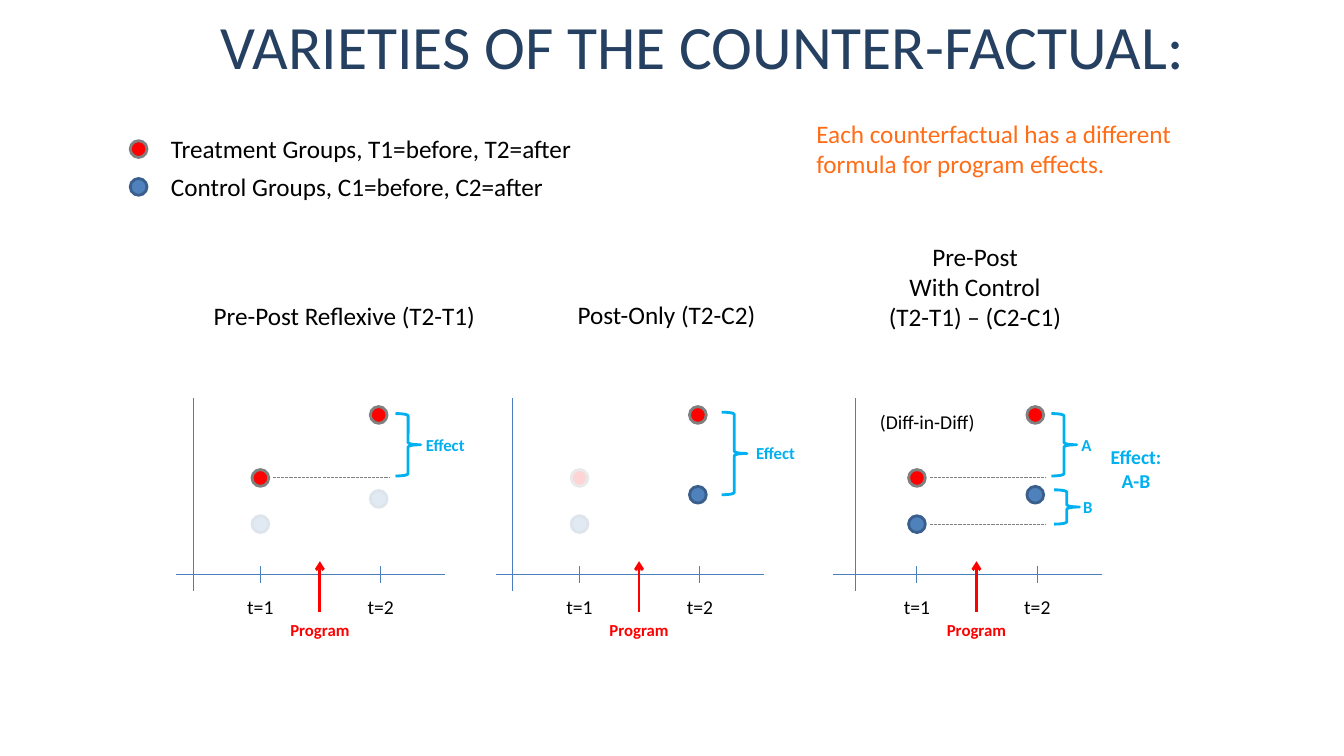
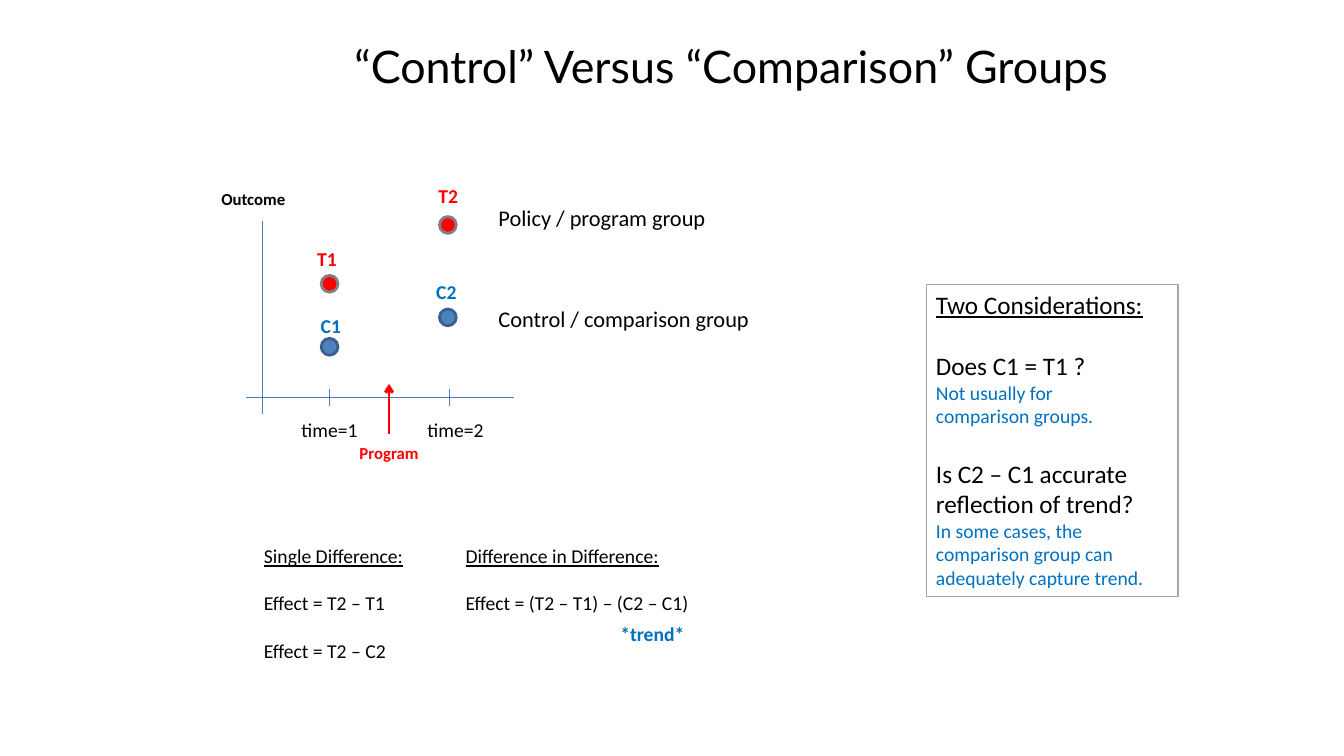
from lxml import etree
from pptx import Presentation
from pptx.dml.color import RGBColor
from pptx.enum.dml import MSO_LINE
from pptx.enum.shapes import MSO_CONNECTOR, MSO_SHAPE
from pptx.enum.text import MSO_ANCHOR, MSO_AUTO_SIZE, PP_ALIGN
from pptx.oxml.ns import qn
from pptx.util import Pt

LEFT, CENTER = PP_ALIGN.LEFT, PP_ALIGN.CENTER
STRAIGHT, DASHED = MSO_CONNECTOR.STRAIGHT, MSO_LINE.SQUARE_DOT
OVAL, BRACE, RECTANGLE = MSO_SHAPE.OVAL, MSO_SHAPE.RIGHT_BRACE, MSO_SHAPE.RECTANGLE
MIDDLE, NO_AUTOFIT = MSO_ANCHOR.MIDDLE, MSO_AUTO_SIZE.NONE

COLORS = {name: RGBColor.from_string(value) for name, value in {
    "black": "000000", "white": "FFFFFF", "navy": "254061", "orange": "FF6D16",
    "axis": "4B7EBC", "red": "FF0000", "gray": "808080", "frame": "A6A6A6",
    "control": "4F81BD", "control rim": "3A5F8C", "effect": "00B0F0",
    "blue": "0070C0"}.items()}
DOT_STYLES = {"T": ("red", "gray"), "C": ("control", "control rim")}
FONT = "Calibri"
DOT = 12
TIME_2 = 84.5      # second measurement, to the right of the first
PROGRAM = 42.5     # program start, midway between the measurements


def add_text(slide, box, text, size=14, color="black", bold=False,
             align=LEFT, wrap=False):
    """Add a text box with one paragraph for each line of text."""
    label = slide.shapes.add_textbox(*map(Pt, box))
    frame = label.text_frame
    frame.word_wrap = wrap
    for number, line in enumerate(text.split("\n")):
        paragraph = frame.add_paragraph() if number else frame.paragraphs[0]
        paragraph.alignment = align
        run = paragraph.add_run()
        run.text = line
        run.font.name, run.font.size, run.font.bold = FONT, Pt(size), bold
        run.font.color.rgb = COLORS[color]
    return label


def add_line(slide, x1, y1, x2, y2, color="axis", width=0.75):
    line = slide.shapes.add_connector(STRAIGHT, Pt(x1), Pt(y1), Pt(x2), Pt(y2))
    line.line.color.rgb = COLORS[color]
    line.line.width = Pt(width)
    etree.SubElement(line._element.spPr, qn("a:effectLst"))
    return line


prs = Presentation()
prs.slide_width, prs.slide_height = Pt(960), Pt(540)

# Slides and titles
slides = []
for title_text, box, size, font, color, align in [
    ("VARIETIES OF THE COUNTER-FACTUAL:", (50, -13, 904, 90), 44, FONT, "navy", CENTER),
    ("“Control” Versus “Comparison” Groups", (246, 24, 564, 46), 32, "Lato", "black", LEFT),
]:
    slide = prs.slides.add_slide(prs.slide_layouts[5])
    title = slide.shapes.title
    title.left, title.top, title.width, title.height = map(Pt, box)
    frame = title.text_frame
    frame.word_wrap, frame.auto_size = True, NO_AUTOFIT
    frame.vertical_anchor = MIDDLE
    frame.paragraphs[0].alignment = align
    run = frame.paragraphs[0].add_run()
    run.text = title_text
    run.font.name, run.font.size = font, Pt(size)
    run.font.color.rgb = COLORS[color]
    slides.append(slide)
varieties, groups = slides

# Plots: x is the first measurement, y the time axis; heights are above that axis.
# A brace is its offset, top, height, label and the offset of the label's middle.
plots = [
    dict(slide=varieties, x=186, y=410.4, outcome=48, times=[("t=1", 0), ("t=2", 86)],
         heights={"C1": 36, "C2": 54, "T1": 69, "T2": 114}, dashes=["T1"],
         braces=[(96.5, 115, 44.6, "Effect", 132)]),
    dict(slide=varieties, x=414, y=410.4, outcome=48, times=[("t=1", 0), ("t=2", 86)],
         heights={"C1": 36, "C2": 57, "T1": 69, "T2": 114}, dashes=[],
         braces=[(101.5, 116, 59, "Effect", 140)]),
    dict(slide=varieties, x=655, y=410.4, outcome=44, times=[("t=1", 0), ("t=2", 86)],
         heights={"C1": 36, "C2": 57, "T1": 69, "T2": 114}, dashes=["T1", "C1"],
         braces=[(96, 115, 44.6, "A", 121), (98, 60.5, 24.5, "B", 122)]),
    dict(slide=groups, x=235.4, y=283.7, outcome=48, times=[("time=1", 0), ("time=2", 90)],
         heights={"C1": 36, "C2": 57, "T1": 81, "T2": 123}, dashes=[], braces=[]),
]
dots = [(varieties, "T", 99, 106.5), (varieties, "C", 99, 133.5)]  # legend

for plot in plots:
    slide, x, y, heights = plot["slide"], plot["x"], plot["y"], plot["heights"]
    add_line(slide, x - plot["outcome"], y - 126, x - plot["outcome"], y + 12)
    add_line(slide, x - 60, y, x + 132, y)
    for tick in (x, x + 86):
        add_line(slide, tick, y - 6, tick, y + 6)
    for time, offset in plot["times"]:
        add_text(slide, (x + offset - 29, y + 11, 58, 24), time, align=CENTER)

    arrow = add_line(slide, x + PROGRAM, y + 26.5, x + PROGRAM, y - 9.5, "red", 2)
    etree.SubElement(arrow.line._get_or_add_ln(), qn("a:tailEnd"), type="arrow")
    add_text(slide, (x + PROGRAM - 29, y + 29, 58, 22), "Program", 12, "red", True, CENTER)

    for point, height in heights.items():
        dots.append((slide, point[0], x + TIME_2 * (point[1] == "2"), y - height))
    for point in plot["dashes"]:
        level = y - heights[point]
        add_line(slide, x + 9, level, x + 92, level, "gray").line.dash_style = DASHED
    for offset, top, height, name, middle in plot["braces"]:
        brace = slide.shapes.add_shape(BRACE, Pt(x + offset), Pt(y - top), Pt(18), Pt(height))
        brace.shadow.inherit = False
        brace.fill.background()
        brace.line.color.rgb = COLORS["effect"]
        brace.line.width = Pt(2)
        add_text(slide, (x + middle - 21, y - top + height / 2 - 11, 42, 22),
                 name, 12, "effect", True, CENTER)

for slide, group, x, y in dots:
    fill, rim = DOT_STYLES[group]
    dot = slide.shapes.add_shape(OVAL, Pt(x - DOT / 2), Pt(y - DOT / 2), Pt(DOT), Pt(DOT))
    dot.shadow.inherit = False
    dot.fill.solid()
    dot.fill.fore_color.rgb = COLORS[fill]
    dot.line.color.rgb = COLORS[rim]
    dot.line.width = Pt(2)

# Veils fade the points that a design does not use
for box in [(168.5, 349, 135.5, 48), (396.5, 326, 36, 63)]:
    veil = varieties.shapes.add_shape(RECTANGLE, *map(Pt, box))
    veil.shadow.inherit = False
    veil.line.fill.background()
    veil.fill.solid()
    veil.fill.fore_color.rgb = COLORS["white"]
    tint = veil._element.spPr.find(qn("a:solidFill"))[0]
    etree.SubElement(tint, qn("a:alpha"), val="83000")

# Varieties: legend, headings and notes
add_text(varieties, (115, 91.5, 304, 29), "Treatment Groups, T1=before, T2=after", 18)
add_text(varieties, (115, 118.5, 284, 29), "Control Groups, C1=before, C2=after", 18)
add_text(varieties, (576, 81, 270, 51),
         "Each counterfactual has a different formula for program effects.",
         18, "orange", wrap=True)
add_text(varieties, (145.5, 211, 203, 29), "Pre-Post Reflexive (T2-T1)", 18)
add_text(varieties, (405.5, 210.5, 143, 29), "Post-Only (T2-C2)", 18)
add_text(varieties, (627, 168.5, 139, 73), "Pre-Post\nWith Control\n(T2-T1) – (C2-C1)",
         18, align=CENTER)
add_text(varieties, (621.5, 289, 83.5, 24), "(Diff-in-Diff)")
add_text(varieties, (785.5, 314.5, 52, 41), "Effect:\nA-B", 14, "effect", True, CENTER)

# Groups: point names and group names
for point, x, y, color in [("T2", 306, 128, "red"), ("T1", 219.5, 173, "red"),
                           ("C1", 222, 220.5, "blue"), ("C2", 304.5, 196.5, "blue"),
                           ("*trend*", 436, 440.5, "blue")]:
    add_text(groups, (x, y, 60 if len(point) > 2 else 29, 24), point, 14, color, True)
add_text(groups, (151, 131, 60.5, 22), "Outcome", 12, bold=True)
add_text(groups, (349, 142.5, 164, 27), "Policy / program group", 16)
add_text(groups, (349, 214.5, 196, 27), "Control / comparison group", 16)

# Groups: formulas in two columns
formulas = add_text(groups, (181.5, 385, 321, 92),
                    "Single Difference:\tDifference in Difference:\n"
                    "Effect = T2 – T1\tEffect = (T2 – T1) – (C2 – C1)\n"
                    "Effect = T2 – C2")
for number, paragraph in enumerate(formulas.text_frame.paragraphs):
    tabs = etree.SubElement(paragraph._p.get_or_add_pPr(), qn("a:tabLst"))
    etree.SubElement(tabs, qn("a:tab"), pos=str(Pt(144)), algn="l")
    if number:
        paragraph.space_before = Pt(17)
    else:
        paragraph.runs[0].font.underline = True

# Groups: considerations, with each question in black and its answer in blue
considerations = add_text(groups, (661.5, 203, 180, 223),
                          "Two Considerations:\n"
                          "Does C1 = T1 ?\n"
                          "Not usually for\n"
                          "comparison groups.\n"
                          "Is C2 – C1 accurate reflection of trend?\n"
                          "In some cases, the comparison group can adequately capture trend.",
                          18, wrap=True)
considerations.line.color.rgb = COLORS["frame"]
considerations.line.width = Pt(0.75)
heading, *points = considerations.text_frame.paragraphs
heading.runs[0].font.underline = True
for paragraph in points:
    if paragraph.text.startswith(("Does", "Is")):
        paragraph.space_before = Pt(22)
    else:
        paragraph.runs[0].font.size = Pt(14)
        paragraph.runs[0].font.color.rgb = COLORS["blue"]

prs.save("out.pptx")
